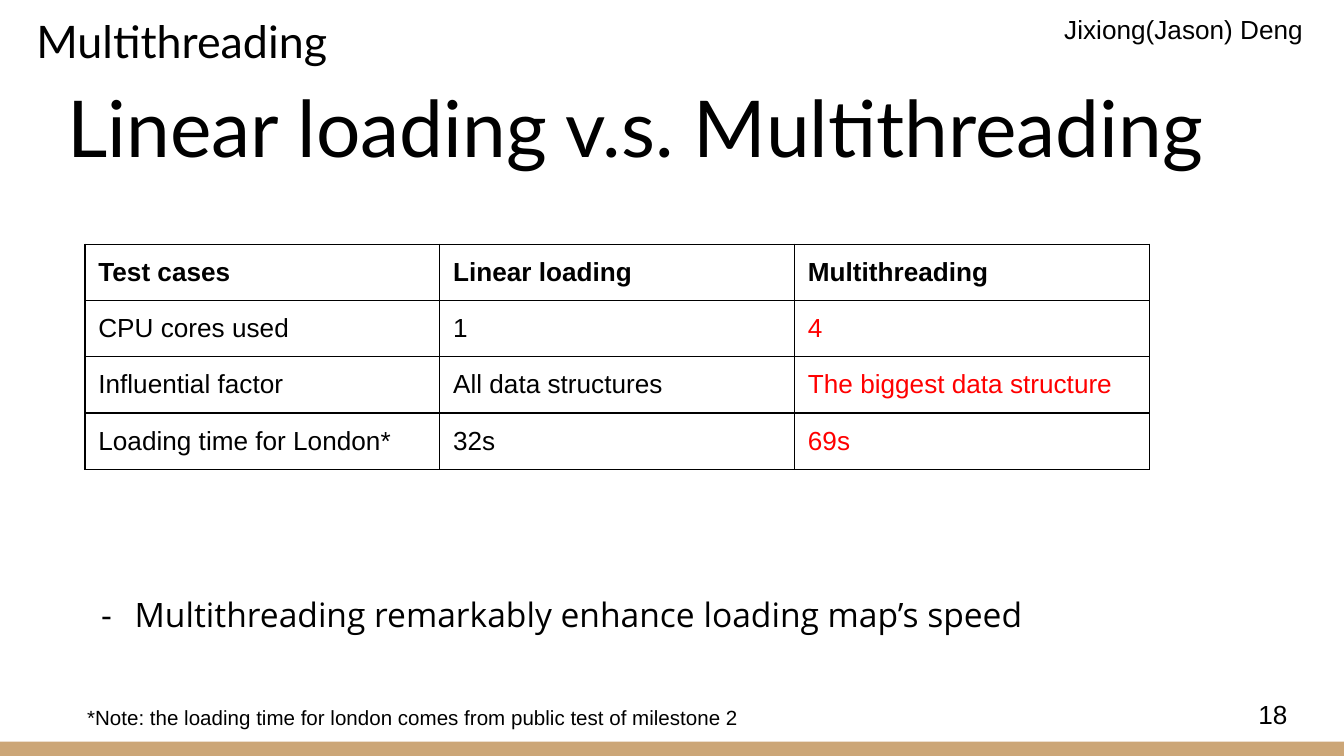
from lxml.etree import SubElement
from pptx import Presentation
from pptx.dml.color import RGBColor
from pptx.enum.shapes import MSO_SHAPE
from pptx.enum.text import MSO_ANCHOR, MSO_AUTO_SIZE, PP_ALIGN
from pptx.oxml.ns import qn
from pptx.util import Inches, Pt

BLACK = RGBColor(0x00, 0x00, 0x00)
RED = RGBColor(0xFF, 0x00, 0x00)
TAN = RGBColor(0xCC, 0xA6, 0x77)

WIDTH = Inches(10)
HEIGHT = WIDTH * 9 // 16
INSET = Inches(0.1)

ROWS = [
    ("Test cases", "Linear loading", "Multithreading"),
    ("CPU cores used", "1", "4"),
    ("Influential factor", "All data structures", "The biggest data structure"),
    ("Loading time for London*", "32s", "69s"),
]


def area(left, top, width, height):
    """Turn percentages of the slide's size into lengths."""
    return (int(WIDTH * left / 100), int(HEIGHT * top / 100),
            int(WIDTH * width / 100), int(HEIGHT * height / 100))


def write(tf, text, font="Arial", size=14, color=BLACK, bold=False):
    p = tf.paragraphs[0]
    p.alignment = PP_ALIGN.LEFT
    r = p.add_run()
    r.text = text
    r.font.name = font
    r.font.size = Pt(size)
    r.font.bold = bold
    r.font.color.rgb = color
    return p


def set_frame(tf, anchor):
    tf.word_wrap = True
    tf.auto_size = MSO_AUTO_SIZE.NONE
    tf.vertical_anchor = anchor
    tf.margin_left = tf.margin_right = tf.margin_top = tf.margin_bottom = INSET


def add_text(s, place, text, anchor=MSO_ANCHOR.TOP, **style):
    tf = s.shapes.add_textbox(*area(*place)).text_frame
    set_frame(tf, anchor)
    write(tf, text, **style)


def fill_placeholder(sp, place, text, **style):
    sp.left, sp.top, sp.width, sp.height = area(*place)
    set_frame(sp.text_frame, MSO_ANCHOR.BOTTOM)
    return write(sp.text_frame, text, **style)


def add_dash(p):
    pPr = p._p.get_or_add_pPr()
    pPr.set("marL", str(Inches(0.5)))
    pPr.set("indent", str(Inches(-0.25)))
    color = SubElement(pPr, qn("a:buClr"))
    SubElement(color, qn("a:srgbClr"), val=str(BLACK))
    SubElement(pPr, qn("a:buFont"), typeface="Open Sans")
    SubElement(pPr, qn("a:buChar"), char="-")


def set_borders(cell):
    tcPr = cell._tc.get_or_add_tcPr()
    for i, side in enumerate(("lnL", "lnR", "lnT", "lnB")):
        ln = tcPr.makeelement(qn(f"a:{side}"), {"w": str(Pt(0.75))})
        fill = SubElement(ln, qn("a:solidFill"))
        SubElement(fill, qn("a:srgbClr"), val=str(BLACK))
        tcPr.insert(i, ln)


def add_comparison(s, place):
    table = s.shapes.add_table(len(ROWS), len(ROWS[0]), *area(*place)).table
    table.first_row = table.horz_banding = False
    for i, row in enumerate(ROWS):
        for j, text in enumerate(row):
            cell = table.cell(i, j)
            cell.fill.background()
            cell.margin_left = cell.margin_right = INSET
            cell.margin_top = cell.margin_bottom = INSET
            highlighted = i > 0 and j == 2
            write(cell.text_frame, text, bold=i == 0,
                  color=RED if highlighted else BLACK)
            set_borders(cell)


def add_footer_bar(s):
    sp = s.shapes.add_shape(MSO_SHAPE.RECTANGLE, *area(0, 98.1, 100, 1.9))
    sp.shadow.inherit = False
    sp.fill.solid()
    sp.fill.fore_color.rgb = TAN
    sp.line.fill.background()


def main():
    prs = Presentation()
    prs.slide_width, prs.slide_height = WIDTH, HEIGHT
    s = prs.slides.add_slide(prs.slide_layouts[1])

    add_footer_bar(s)
    fill_placeholder(s.shapes.title, (4.02, 8.53, 93.2, 16.2),
                     "Linear loading v.s. Multithreading", font="Lato", size=42)

    body = s.placeholders[1]
    p = fill_placeholder(body, (4.02, 26.3, 93.2, 65.25),
                         "Multithreading remarkably enhance loading map’s speed",
                         font="Open Sans", size=18)
    body.text_frame.margin_bottom = Inches(0.43)
    add_dash(p)
    p.line_spacing = 1.15
    p.space_before = Pt(0)

    add_text(s, (1.72, 0, 40, 10.67), "Multithreading", font="Lato", size=24)
    add_text(s, (78.2, 0, 20.2, 6.22), "Jixiong(Jason) Deng")
    add_text(s, (92.65, 90.67, 6, 7.64), "18", anchor=MSO_ANCHOR.MIDDLE)
    add_comparison(s, (6.32, 32.3, 79.2, 29.8))
    add_text(s, (5.5, 91.46, 82.9, 5.51),
             "*Note: the loading time for london comes from public test of milestone 2",
             size=11)

    prs.save("out.pptx")


if __name__ == "__main__":
    main()
